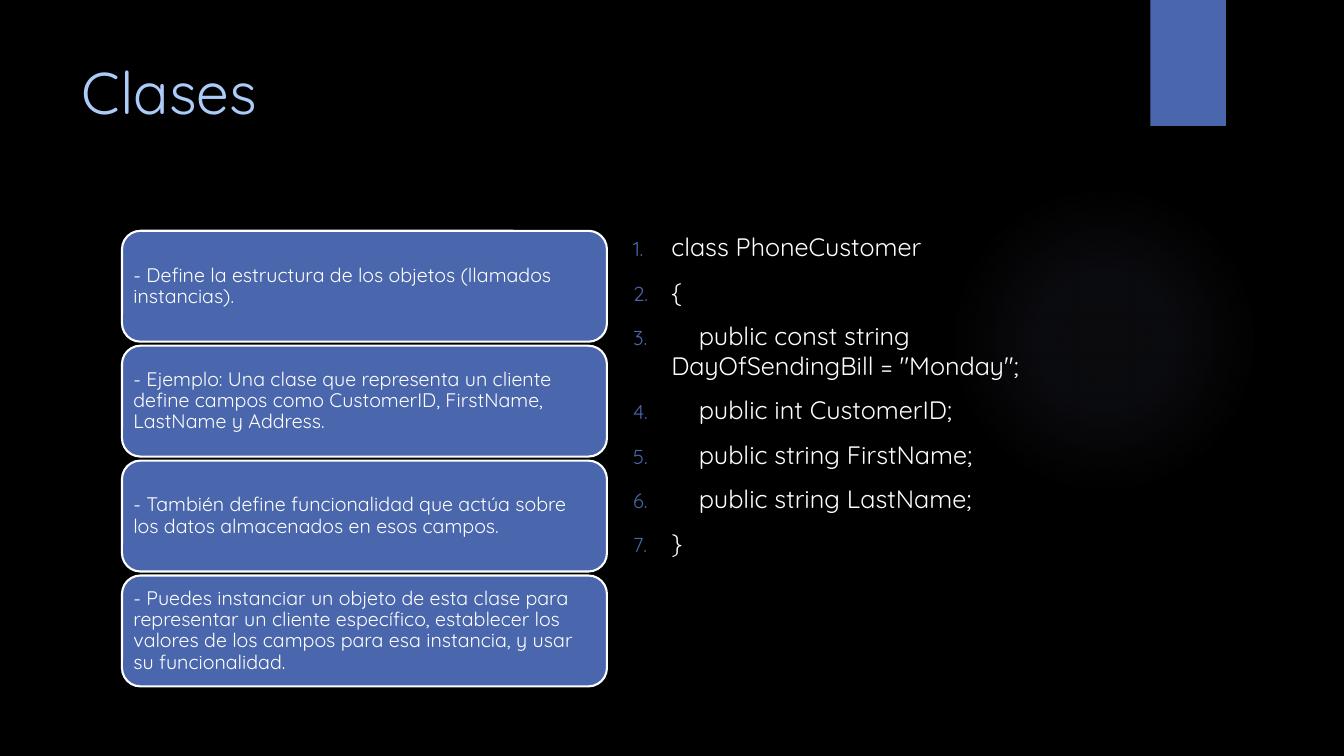
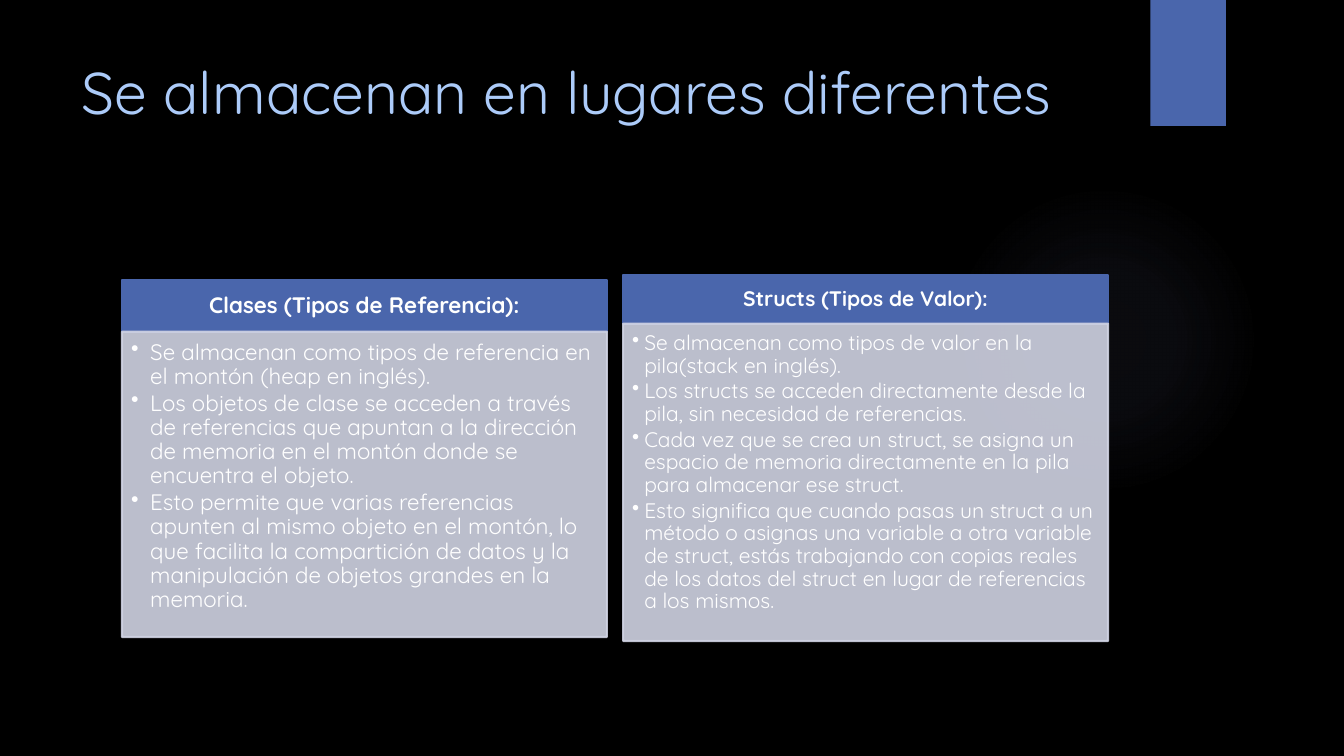
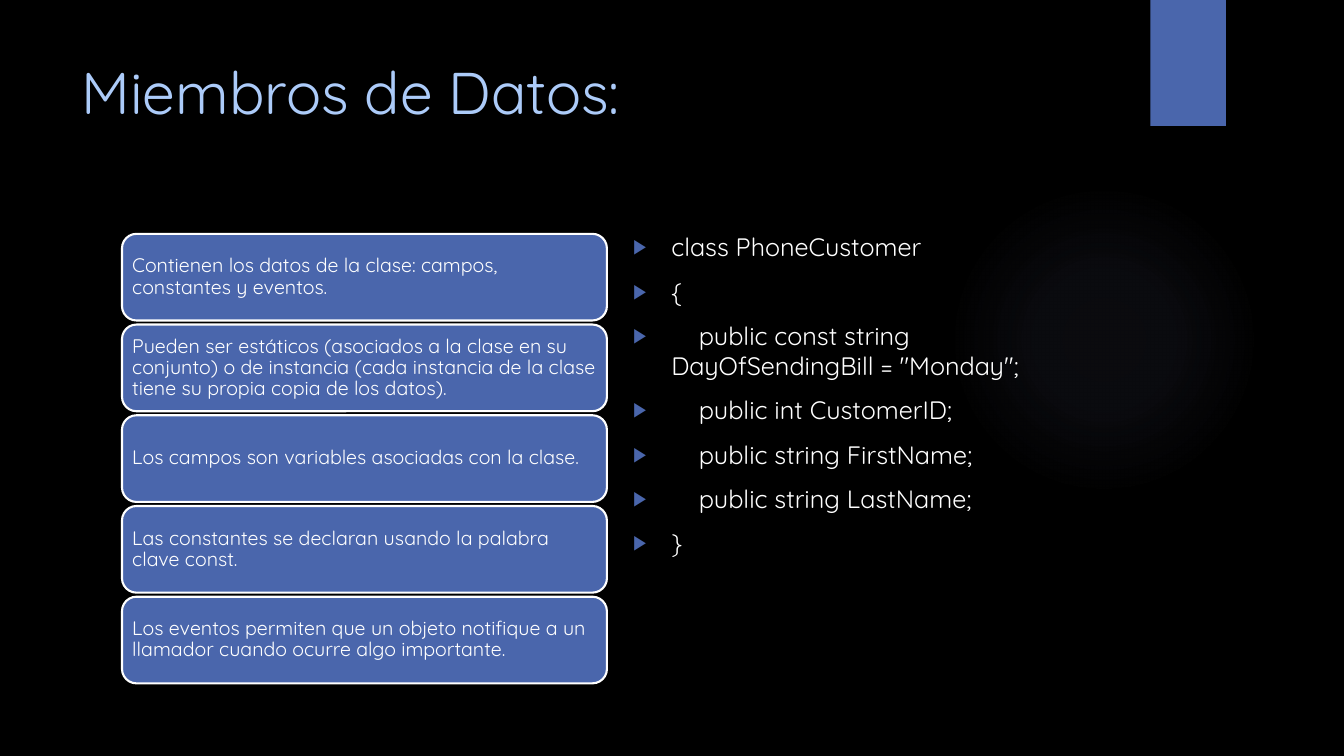
from dataclasses import dataclass

from lxml import etree
from pptx import Presentation
from pptx.dml.color import RGBColor
from pptx.enum.shapes import MSO_SHAPE
from pptx.enum.text import MSO_ANCHOR, MSO_AUTO_SIZE, PP_ALIGN
from pptx.oxml import parse_xml
from pptx.oxml.ns import nsdecls, qn
from pptx.shapes.autoshape import Shape
from pptx.slide import Slide
from pptx.text.text import TextFrame
from pptx.util import Emu, Pt

RECTANGLE = MSO_SHAPE.RECTANGLE
ROUNDED = MSO_SHAPE.ROUNDED_RECTANGLE
OVAL = MSO_SHAPE.OVAL
TOP = MSO_ANCHOR.TOP
MIDDLE = MSO_ANCHOR.MIDDLE
LEFT = PP_ALIGN.LEFT
CENTER = PP_ALIGN.CENTER
NO_AUTOFIT = MSO_AUTO_SIZE.NONE

EMU_PER_PX = 9144
TITLE_ONLY = 5


@dataclass(frozen=True)
class Theme:
    font: str = "Quicksand"
    background: str = "000000"
    accent: str = "4A66AC"
    title: str = "ACCBF9"
    text: str = "FFFFFF"
    panel: str = "D0D3E3"
    glow: str = "9297CF"
    panel_opacity: int = 90
    title_size: int = 42
    code_size: int = 18
    card_size: int = 14
    outline: float = 1.5


@dataclass(frozen=True)
class Area:
    left: int
    top: int
    width: int
    height: int


@dataclass(frozen=True)
class Margins:
    left: int
    top: int
    right: int
    bottom: int


@dataclass(frozen=True)
class Bullet:
    tag: str
    attribute: str
    value: str
    indent: int
    font: str = ""
    color: str = ""
    percent: int = 100


@dataclass(frozen=True)
class TextStyle:
    size: int
    color: str
    bold: bool = False
    align: PP_ALIGN = LEFT
    anchor: MSO_ANCHOR = TOP
    margins: Margins = Margins(10, 5, 10, 5)
    line_spacing: float = 1.0
    before: int = 0
    after: int = 0
    bullet: Bullet | None = None


@dataclass(frozen=True)
class Panel:
    heading: str
    items: tuple[str, ...]
    left: int
    top: int
    heading_height: int
    body_height: int
    size: int
    indent: int
    bottom_margin: int


@dataclass(frozen=True)
class CodePage:
    title: str
    cards: tuple[str, ...]
    cards_top: int
    card_height: int
    marker: Bullet


THEME = Theme()
COLUMN_WIDTH = 481
LEFT_COLUMN = 121
RIGHT_COLUMN = 618
CARD_GAP = 4
TITLE_AREA = Area(71, 50, 1029, 153)
CODE_AREA = Area(RIGHT_COLUMN, 225, COLUMN_WIDTH, 459)
GLOW_AREA = Area(941, 183, 308, 308)
RIBBON_AREA = Area(1141, 0, 75, 125)
GLOW_STOPS = ((0, 7), (36, 6), (69, 0))

TITLE_STYLE = TextStyle(THEME.title_size, THEME.title)
CARD_STYLE = TextStyle(THEME.card_size, THEME.text, anchor=MIDDLE,
                       margins=Margins(6, 6, 6, 6), line_spacing=0.9)
NUMBERS = Bullet("a:buAutoNum", "type", "arabicPeriod", 38,
                 color=THEME.accent, percent=80)
TRIANGLES = Bullet("a:buChar", "char", "▶", 38, font="Arial",
                   color=THEME.accent, percent=80)

CODE_LINES = (
    "class PhoneCustomer",
    "{",
    "    public const string DayOfSendingBill = \"Monday\";",
    "    public int CustomerID;",
    "    public string FirstName;",
    "    public string LastName;",
    "}",
)

CLASSES = CodePage(
    "Clases",
    (
        "- Define la estructura de los objetos (llamados instancias).",
        "- Ejemplo: Una clase que representa un cliente define campos como "
        "CustomerID, FirstName, LastName y Address.",
        "- También define funcionalidad que actúa sobre los datos almacenados "
        "en esos campos.",
        "- Puedes instanciar un objeto de esta clase para representar un "
        "cliente específico, establecer los valores de los campos para esa "
        "instancia, y usar su funcionalidad.",
    ),
    229, 110, NUMBERS,
)

MEMBERS = CodePage(
    "Miembros de Datos:",
    (
        "Contienen los datos de la clase: campos, constantes y eventos.",
        "Pueden ser estáticos (asociados a la clase en su conjunto) o de "
        "instancia (cada instancia de la clase tiene su propia copia de los "
        "datos).",
        "Los campos son variables asociadas con la clase.",
        "Las constantes se declaran usando la palabra clave const.",
        "Los eventos permiten que un objeto notifique a un llamador cuando "
        "ocurre algo importante.",
    ),
    232, 86, TRIANGLES,
)

STORAGE_TITLE = "Se almacenan en lugares diferentes"
STORAGE_PANELS = (
    Panel(
        "Clases (Tipos de Referencia):",
        (
            "Se almacenan como tipos de referencia en el montón (heap en "
            "inglés).",
            "Los objetos de clase se acceden a través de referencias que "
            "apuntan a la dirección de memoria en el montón donde se "
            "encuentra el objeto.",
            "Esto permite que varias referencias apunten al mismo objeto en "
            "el montón, lo que facilita la compartición de datos y la "
            "manipulación de objetos grandes en la memoria.",
        ),
        LEFT_COLUMN, 278, 51, 303, 16, 19, 14,
    ),
    Panel(
        "Structs (Tipos de Valor):",
        (
            "Se almacenan como tipos de valor en la pila(stack en inglés).",
            "Los structs se acceden directamente desde la pila, sin necesidad "
            "de referencias.",
            "Cada vez que se crea un struct, se asigna un espacio de memoria "
            "directamente en la pila para almacenar ese struct.",
            "Esto significa que cuando pasas un struct a un método o asignas "
            "una variable a otra variable de struct, estás trabajando con "
            "copias reales de los datos del struct en lugar de referencias a "
            "los mismos.",
        ),
        RIGHT_COLUMN, 273, 48, 315, 15, 12, 13,
    ),
)


def px(length: int) -> Emu:
    return Emu(length * EMU_PER_PX)


def rgb(color: str) -> RGBColor:
    return RGBColor.from_string(color)


def place(area: Area) -> tuple[Emu, Emu, Emu, Emu]:
    return px(area.left), px(area.top), px(area.width), px(area.height)


def add_bullet(properties: etree._Element, bullet: Bullet) -> None:
    properties.set("marL", str(px(bullet.indent)))
    properties.set("indent", str(px(-bullet.indent)))
    if bullet.color:
        holder = etree.SubElement(properties, qn("a:buClr"))
        etree.SubElement(holder, qn("a:srgbClr")).set("val", bullet.color)
    size = etree.SubElement(properties, qn("a:buSzPct"))
    size.set("val", str(bullet.percent * 1000))
    if bullet.font:
        font = etree.SubElement(properties, qn("a:buFont"))
        font.set("typeface", bullet.font)
    marker = etree.SubElement(properties, qn(bullet.tag))
    marker.set(bullet.attribute, bullet.value)


def write(frame: TextFrame, lines: tuple[str, ...], style: TextStyle) -> None:
    frame.word_wrap = True
    frame.auto_size = NO_AUTOFIT
    frame.vertical_anchor = style.anchor
    frame.margin_left = px(style.margins.left)
    frame.margin_top = px(style.margins.top)
    frame.margin_right = px(style.margins.right)
    frame.margin_bottom = px(style.margins.bottom)
    for index, line in enumerate(lines):
        para = frame.add_paragraph() if index else frame.paragraphs[0]
        if style.bullet:
            add_bullet(para._p.get_or_add_pPr(), style.bullet)
        para.alignment = style.align
        para.line_spacing = style.line_spacing
        para.space_before = Pt(style.before if index else 0)
        para.space_after = Pt(style.after)
        span = para.add_run()
        span.text = line
        span.font.name = THEME.font
        span.font.size = Pt(style.size)
        span.font.bold = style.bold
        span.font.color.rgb = rgb(style.color)


def add_box(page: Slide, kind: MSO_SHAPE, area: Area, fill: str,
            line: str = "", opacity: int = 100) -> Shape:
    box = page.shapes.add_shape(kind, *place(area))
    box.shadow.inherit = False
    box.fill.solid()
    box.fill.fore_color.rgb = rgb(fill)
    if line:
        box.line.color.rgb = rgb(line)
        box.line.width = Pt(THEME.outline)
    else:
        box.line.fill.background()
    if opacity < 100:
        for color in box._element.spPr.iter(qn("a:srgbClr")):
            alpha = etree.SubElement(color, qn("a:alpha"))
            alpha.set("val", str(opacity * 1000))
    return box


def add_glow(page: Slide) -> None:
    glow = add_box(page, OVAL, GLOW_AREA, THEME.glow)
    stops = "".join(
        f'<a:gs pos="{position * 1000}"><a:srgbClr val="{THEME.glow}">'
        f'<a:alpha val="{opacity * 1000}"/></a:srgbClr></a:gs>'
        for position, opacity in GLOW_STOPS
    )
    gradient = parse_xml(
        f'<a:gradFill {nsdecls("a")}><a:gsLst>{stops}</a:gsLst>'
        '<a:path path="circle"><a:fillToRect l="50000" t="50000" '
        'r="50000" b="50000"/></a:path></a:gradFill>'
    )
    properties = glow._element.spPr
    properties.replace(properties.find(qn("a:solidFill")), gradient)


def add_page(deck: Presentation, title: str) -> Slide:
    page = deck.slides.add_slide(deck.slide_layouts[TITLE_ONLY])
    add_glow(page)
    add_box(page, RECTANGLE, RIBBON_AREA, THEME.accent)
    heading = page.shapes.title
    heading.left, heading.top, heading.width, heading.height = place(TITLE_AREA)
    write(heading.text_frame, (title,), TITLE_STYLE)
    return page


def add_code_page(deck: Presentation, content: CodePage) -> None:
    page = add_page(deck, content.title)
    for index, text in enumerate(content.cards):
        top = content.cards_top + index * (content.card_height + CARD_GAP)
        area = Area(LEFT_COLUMN, top, COLUMN_WIDTH, content.card_height)
        card = add_box(page, ROUNDED, area, THEME.accent, THEME.text)
        write(card.text_frame, (text,), CARD_STYLE)
    code = page.shapes.add_textbox(*place(CODE_AREA))
    style = TextStyle(THEME.code_size, THEME.text, before=10,
                      bullet=content.marker)
    write(code.text_frame, CODE_LINES, style)


def add_panel(page: Slide, panel: Panel) -> None:
    heading_area = Area(panel.left, panel.top, COLUMN_WIDTH,
                        panel.heading_height)
    heading = add_box(page, RECTANGLE, heading_area, THEME.accent, THEME.accent)
    write(heading.text_frame, (panel.heading,),
          TextStyle(panel.size, THEME.text, bold=True, align=CENTER,
                    anchor=MIDDLE, margins=Margins(12, 7, 12, 7),
                    line_spacing=0.9))
    body_area = Area(panel.left, panel.top + panel.heading_height,
                     COLUMN_WIDTH, panel.body_height)
    body = add_box(page, RECTANGLE, body_area, THEME.panel, THEME.panel,
                   THEME.panel_opacity)
    write(body.text_frame, panel.items,
          TextStyle(panel.size, THEME.text,
                    margins=Margins(9, 9, 12, panel.bottom_margin),
                    line_spacing=0.9, after=2,
                    bullet=Bullet("a:buChar", "char", "•", panel.indent)))


def main() -> None:
    deck = Presentation()
    deck.slide_width, deck.slide_height = px(1333), px(750)
    backdrop = deck.slide_master.background.fill
    backdrop.solid()
    backdrop.fore_color.rgb = rgb(THEME.background)
    add_code_page(deck, CLASSES)
    storage = add_page(deck, STORAGE_TITLE)
    for panel in STORAGE_PANELS:
        add_panel(storage, panel)
    add_code_page(deck, MEMBERS)
    deck.save("out.pptx")


if __name__ == "__main__":
    main()
